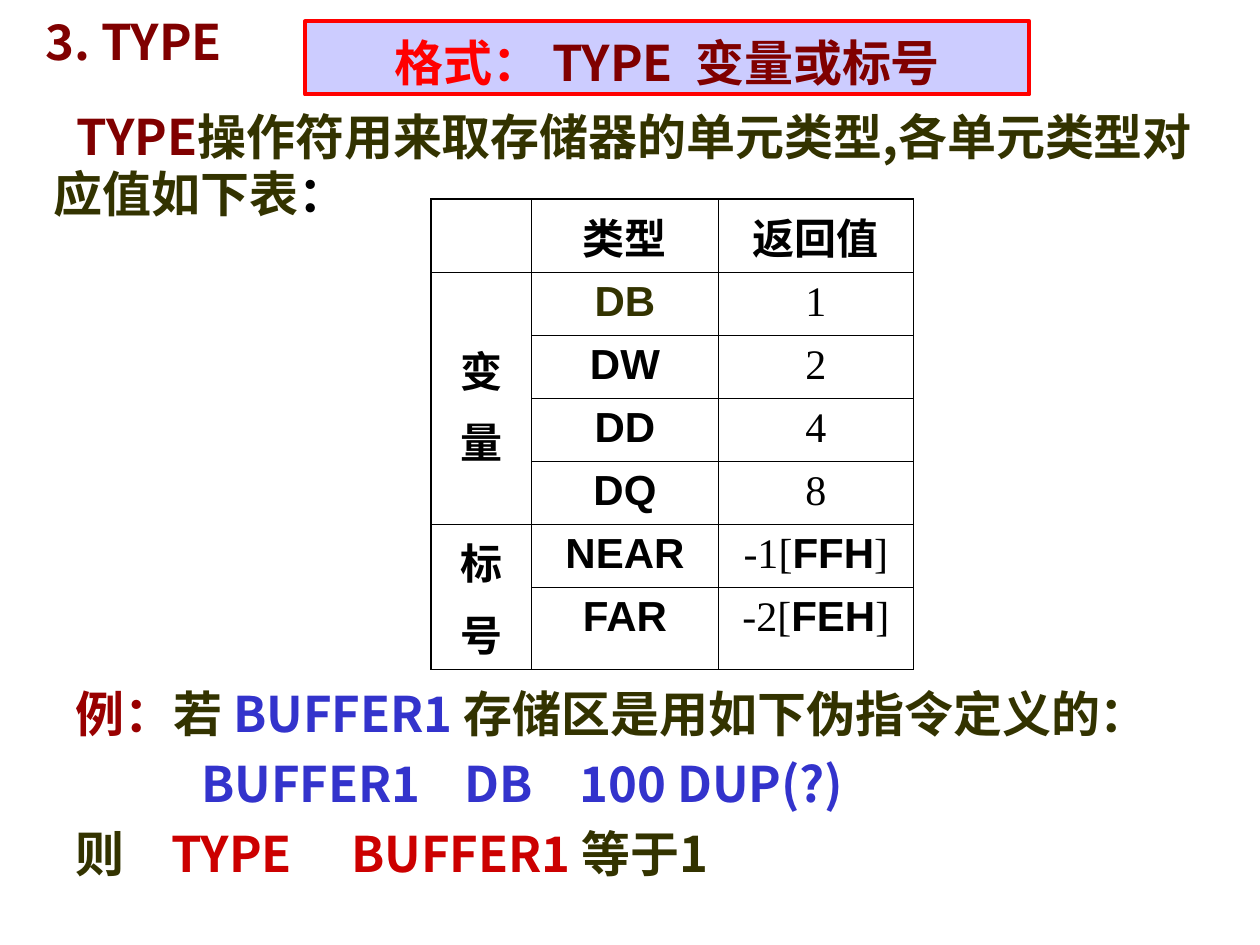
from lxml import etree
from pptx import Presentation
from pptx import util as u
from pptx.dml.color import RGBColor
from pptx.enum import shapes, text
from pptx.oxml.ns import qn

WIDE, HIGH = 10, 7.5
SANS, SERIF, ARIAL = "Noto Sans CJK SC", "Times New Roman", "Arial"
MAROON, OLIVE, BLUE, RED, BLACK = "800000", "333300", "3333CC", "CC0000", "000000"
ALIGN = text.PP_ALIGN
INCHES = range(1, 8)  # regular tab stops


def tint(code):
    return RGBColor.from_string(code)


def place(item, left, top, width, height):
    item.left, item.top = u.Inches(left), u.Inches(top)
    item.width, item.height = u.Inches(width), u.Inches(height)


def add_run(para, words, color, font=None, bold=None):
    run = para.add_run()
    run.text = words
    run.font.color.rgb = tint(color)
    if font:
        run.font.name = font
    if bold is not None:
        run.font.bold = bold
    # East Asian typeface
    props = run._r.get_or_add_rPr()
    etree.SubElement(props, qn("a:ea")).set("typeface", SANS)


def set_para(para, size, font, align, before):
    para.font.size, para.font.name, para.font.bold = u.Pt(size), font, True
    para.alignment = align
    para.space_before = u.Pt(before)


def set_tabs(para, stops):
    tabs = etree.Element(qn("a:tabLst"))
    for stop in stops:
        tab = etree.SubElement(tabs, qn("a:tab"))
        tab.set("pos", str(u.Inches(stop)))
        tab.set("algn", "l")
    props = para._p.get_or_add_pPr()
    fonts = props.find(qn("a:defRPr"))
    fonts.addprevious(tabs)


def write(frame, lines, align=ALIGN.LEFT, indent=0):
    """Fill a frame; each line is (runs, tab stops), each run (words, colour)."""
    frame.word_wrap = True
    frame.auto_size = text.MSO_AUTO_SIZE.NONE
    frame.vertical_anchor = text.MSO_ANCHOR.TOP
    frame.margin_top = u.Inches(0.1)
    for i, (runs, stops) in enumerate(lines):
        para = frame.add_paragraph() if i else frame.paragraphs[0]
        set_para(para, 28, SANS, align, 7)
        para.line_spacing = u.Pt(33)
        if indent:
            props = para._p.get_or_add_pPr()
            props.set("marL", "0")
            props.set("indent", str(u.Inches(indent)))
        for words, color in runs:
            add_run(para, words, color)
        set_tabs(para, stops)


def add_text(slide, at, lines, indent=0):
    box = slide.shapes.add_textbox(*map(u.Inches, at))
    write(box.text_frame, lines, indent=indent)


def add_banner(slide, at, runs):
    box = slide.shapes.add_shape(shapes.MSO_SHAPE.RECTANGLE, *map(u.Inches, at))
    box.shadow.inherit = False
    box.fill.solid()
    box.fill.fore_color.rgb = tint("CCCCFF")
    box.line.color.rgb = tint("FF0000")
    box.line.width = u.Pt(2.25)
    write(box.text_frame, [(runs, INCHES)], ALIGN.CENTER)


def set_edges(cell, outer):
    """Draw black borders, thicker on the sides named in outer."""
    props = cell._tc.get_or_add_tcPr()
    for i, side in enumerate("LRTB"):
        line = etree.Element(qn("a:ln" + side))
        line.set("w", str(u.Pt(1.08 if side in outer else 0.45)))
        fill = etree.SubElement(line, qn("a:solidFill"))
        etree.SubElement(fill, qn("a:srgbClr")).set("val", BLACK)
        props.insert(i, line)


def fill_cell(cell, lines, color=BLACK):
    """Each line is a list of (words, font, bold)."""
    for i, runs in enumerate(lines):
        para = cell.text_frame.add_paragraph() if i else cell.text_frame.paragraphs[0]
        set_para(para, 24, runs[0][1], ALIGN.CENTER, 6)
        for words, font, bold in runs:
            add_run(para, words, color, font, bold)


def add_grid(slide, at, widths, rows, labels):
    count = len(rows)
    table = slide.shapes.add_table(count, len(widths), *map(u.Inches, at)).table
    table.first_row = table.horz_banding = False
    for col, width in zip(table.columns, widths):
        col.width = u.Inches(width)
    for r, row in enumerate(rows):
        table.rows[r].height = u.Inches(0.5)
        for c in range(len(widths)):
            cell = table.cell(r, c)
            cell.fill.background()
            outer = ("L" * (c == 0) + "R" * (c == len(widths) - 1)
                     + "T" * (r == 0) + "B" * (r == count - 1))
            set_edges(cell, outer)
            if c:
                color = OLIVE if (r, c) == (1, 1) else BLACK
                fill_cell(cell, [row[c - 1]], color)
    # Row groups down the first column
    for first, last, name, inset in labels:
        cell = table.cell(first, 0)
        cell.merge(table.cell(last, 0))
        cell.vertical_anchor = text.MSO_ANCHOR.MIDDLE
        cell.margin_top = u.Inches(inset)
        fill_cell(cell, [[(sign, SERIF, True)] for sign in name])


def main():
    deck = Presentation()
    deck.slide_width, deck.slide_height = u.Inches(WIDE), u.Inches(HIGH)
    slide = deck.slides.add_slide(deck.slide_layouts[5])

    # Heading and syntax banner
    title = slide.shapes.title
    place(title, 0.17, 0, 1.92, 0.58)
    write(title.text_frame, [([("3. TYPE", MAROON)], INCHES)], indent=0.09)

    # Worked example
    add_text(slide, (0.5, 5.33, 0.95 * WIDE, 1.75), [
        ([("例：", "990000"), ("若 ", OLIVE), ("BUFFER1 ", BLUE),
          ("存储区是用如下伪指令定义的：", OLIVE)], INCHES),
        ([("\tBUFFER1\t DB\t100 DUP(?)", BLUE)], INCHES),
        ([("则\t", OLIVE), ("TYPE\tBUFFER1 ", RED), ("等于1", OLIVE)],
         (0.76, 2.19)),
    ])

    # Return values by type
    heads = [[[(name, SERIF, True)] for name in ("类型", "返回值")]]
    sizes = [[[(name, ARIAL, True)], [(str(2 ** i), SERIF, False)]]
             for i, name in enumerate(("DB", "DW", "DD", "DQ"))]
    jumps = [[[(name, ARIAL, True)],
              [(f"{value}[", SERIF, False), (code, ARIAL, True), ("]", SERIF, False)]]
             for name, value, code in (("NEAR", -1, "FFH"), ("FAR", -2, "FEH"))]
    add_grid(slide, (3.42, 1.58, 3.83, 3.5), (0.8, 1.48, 1.55),
             heads + sizes + jumps, [(1, 4, "变量", 0.15), (5, 6, "标号", 0.05)])

    # Introduction
    add_text(slide, (0.33, 0.75, 0.95 * WIDE, 1.08), [
        ([("TYPE", MAROON), ("操作符用来取存储器的单元类型,各单元类型对应值如下表", OLIVE),
          ("：", BLACK)], INCHES)], indent=0.18)

    add_banner(slide, (2.42, 0.17, 5.75, 0.58),
               [("格式： ", "FF0000"), ("TYPE  变量或标号", MAROON)])
    deck.save("out.pptx")


if __name__ == "__main__":
    main()
